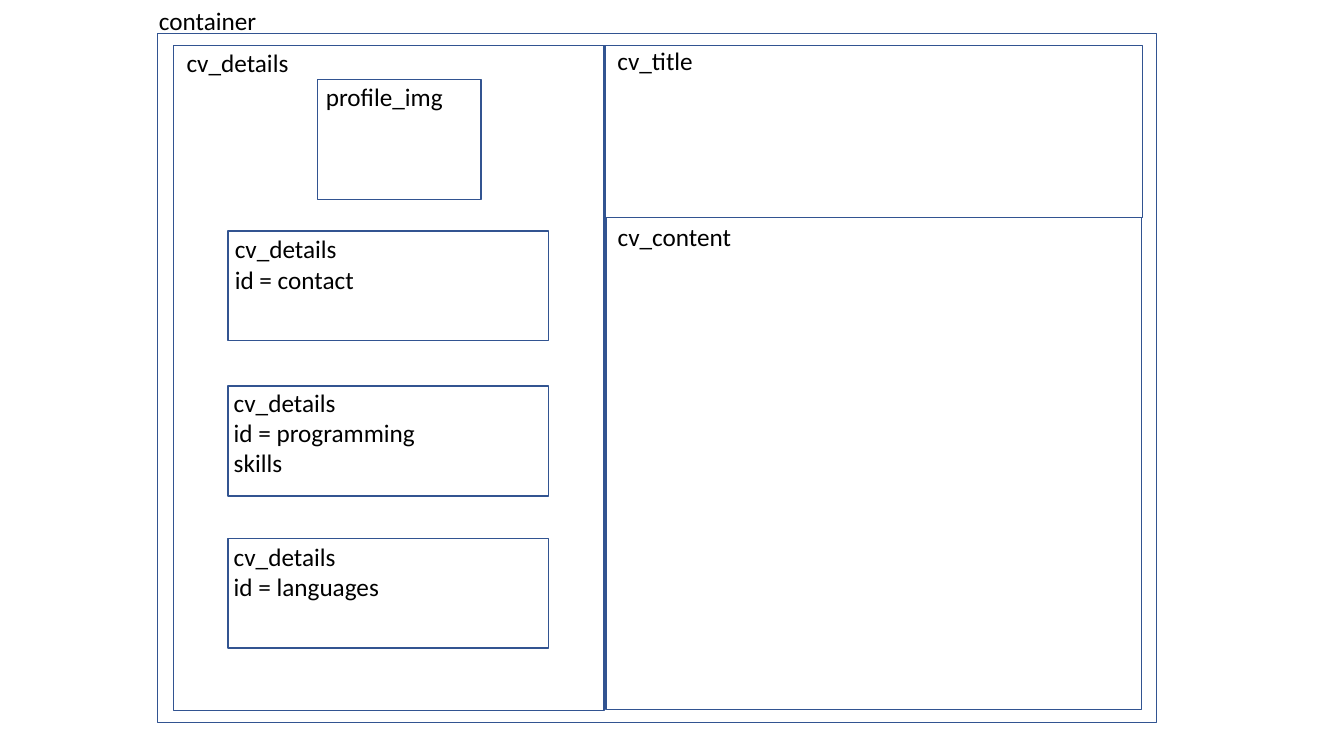
"""Draw the block layout of a CV web page."""
from dataclasses import dataclass

from pptx import Presentation
from pptx.dml.color import RGBColor
from pptx.enum.shapes import MSO_SHAPE
from pptx.enum.text import MSO_AUTO_SIZE, PP_ALIGN
from pptx.util import Inches, Pt

BLUE = RGBColor(0x32, 0x54, 0x91)
BLACK = RGBColor(0, 0, 0)
LINE_HEIGHT = 0.305
PADDING = 0.1


@dataclass(frozen=True)
class Block:
    left: float
    top: float
    width: float
    height: float


@dataclass(frozen=True)
class Label:
    left: float
    top: float
    width: float
    lines: tuple[str, ...]
    rows: int = 1
    align: PP_ALIGN = PP_ALIGN.RIGHT


SECTION_LEFT, SECTION_WIDTH, SECTION_HEIGHT = 2.26, 3.18, 1.09
SECTION_TOPS = (2.29, 3.83, 5.34)

BLOCKS = [
    Block(1.56, 0.33, 9.91, 6.84),
    Block(1.72, 0.45, 4.27, 6.6),
    Block(6, 0.45, 5.33, 1.71),
    Block(6.01, 2.16, 5.31, 4.88),
    Block(3.15, 0.79, 1.62, 1.19),
    *(Block(SECTION_LEFT, top, SECTION_WIDTH, SECTION_HEIGHT) for top in SECTION_TOPS),
]

LABELS = [
    Label(1.44, 0, 1.2, ("container",)),
    Label(3.13, 0.76, 1.36, ("profile_img",)),
    Label(2.23, 2.27, 1.49, ("cv_details", "id = contact"), 2, PP_ALIGN.LEFT),
    Label(5.97, 2.15, 1.38, ("cv_content",)),
    Label(5.77, 0.4, 1.2, ("cv_title",)),
    Label(2.22, 3.79, 2.03, ("cv_details", "id = programming skills"), 3, PP_ALIGN.LEFT),
    Label(2.22, 5.32, 1.66, ("cv_details", "id = languages"), 2, PP_ALIGN.LEFT),
    Label(1.6, 0.42, 1.36, ("cv_details",)),
]


def add_block(shapes, block: Block) -> None:
    """Draw one outlined page block."""
    sp = shapes.add_shape(
        MSO_SHAPE.RECTANGLE, Inches(block.left), Inches(block.top),
        Inches(block.width), Inches(block.height),
    )
    sp.shadow.inherit = False
    sp.fill.background()
    sp.line.color.rgb = BLUE
    sp.line.width = Pt(1)


def add_label(shapes, label: Label) -> None:
    """Write one class name, with its id on a new line."""
    height = label.rows * LINE_HEIGHT + PADDING
    sp = shapes.add_textbox(
        Inches(label.left), Inches(label.top), Inches(label.width), Inches(height)
    )
    tf = sp.text_frame
    tf.word_wrap = True
    tf.auto_size = MSO_AUTO_SIZE.SHAPE_TO_FIT_TEXT
    p = tf.paragraphs[0]
    p.alignment = label.align
    for i, line in enumerate(label.lines):
        if i:
            p.add_line_break()
        r = p.add_run()
        r.text = line
        r.font.name = "Calibri"
        r.font.size = Pt(18)
        r.font.color.rgb = BLACK


def main() -> None:
    """Build the slide and save it."""
    prs = Presentation()
    prs.slide_width, prs.slide_height = Inches(13.33), Inches(7.5)
    s = prs.slides.add_slide(prs.slide_layouts[6])
    for block in BLOCKS:
        add_block(s.shapes, block)
    for label in LABELS:
        add_label(s.shapes, label)
    prs.save("out.pptx")


main()
